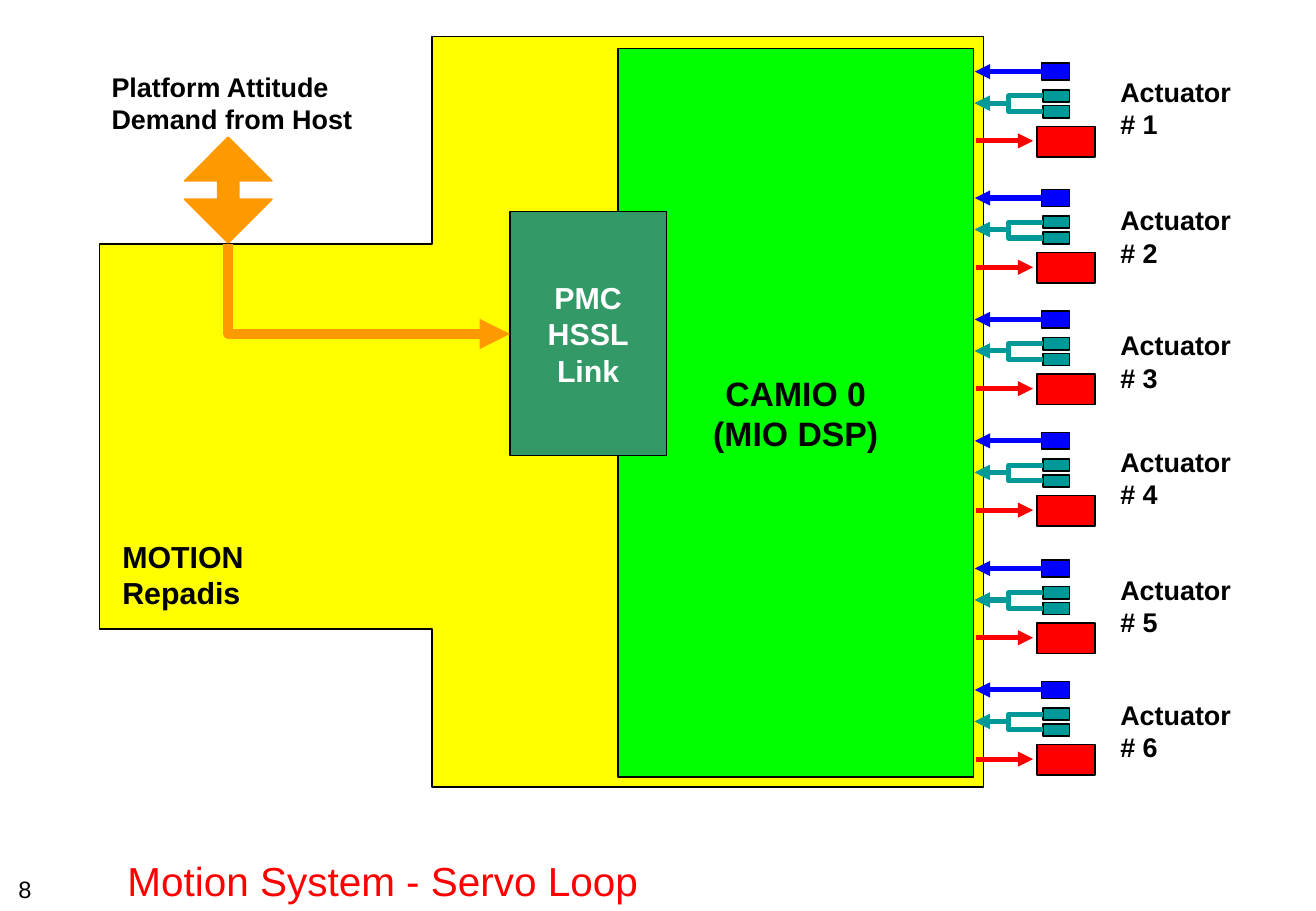
"""Build the motion system servo loop slide."""
from lxml import etree
from pptx import Presentation, util as u
from pptx.dml.color import RGBColor
from pptx.enum import shapes, text
from pptx.oxml.ns import qn

PX = 9144
COLOURS = {
    "black": "000000", "white": "FFFFFF", "yellow": "FFFF00", "green": "00FF00",
    "sea": "339966", "blue": "0000FF", "teal": "009999", "red": "FF0000",
    "orange": "FF9900",
}
ACTUATOR_TOPS = [52, 156, 256, 356, 461, 561]
LABEL_TOPS = [57, 163, 266, 362, 467, 570]
BOARD_OUTLINE = [(82, 201), (82, 518), (356, 518), (356, 648),
                 (810, 648), (810, 30), (356, 30), (356, 201)]


def colour(name):
    """Return the named colour."""
    return RGBColor.from_string(COLOURS[name])


def emu(*lengths):
    """Turn px lengths into EMU."""
    return [u.Emu(length * PX) for length in lengths]


def apply_format(target, values):
    """Set every attribute given in a dict."""
    for name, value in values.items():
        setattr(target, name, value)


def write(shape, wording, size, ink="black", bold=True, align="LEFT", frame=None):
    """Write one paragraph per line of wording into a shape."""
    text_frame = shape.text_frame
    text_frame.text = wording
    apply_format(text_frame, frame or {})
    for paragraph in text_frame.paragraphs:
        apply_format(paragraph, {
            "alignment": getattr(text.PP_ALIGN, align),
            "line_spacing": u.Pt(size * 1.2),
        })
        apply_format(paragraph.font, {"name": "Arial", "size": u.Pt(size), "bold": bold})
        paragraph.font.color.rgb = colour(ink)


def add_label(slide, box, wording, size, **style):
    """Add a text box that fits its unwrapped text."""
    label = slide.shapes.add_textbox(*emu(*box))
    frame = {"word_wrap": False, "auto_size": text.MSO_AUTO_SIZE.SHAPE_TO_FIT_TEXT}
    write(label, wording, size, frame=frame, **style)


def add_block(slide, box, fill, line="black", kind="RECTANGLE"):
    """Add a filled preset shape, outlined unless line is None."""
    block = slide.shapes.add_shape(getattr(shapes.MSO_SHAPE, kind), *emu(*box))
    block.shadow.inherit = False
    block.fill.solid()
    block.fill.fore_color.rgb = colour(fill)
    if line:
        block.line.color.rgb = colour(line)
        block.line.width = u.Pt(1)
    else:
        block.line.fill.background()
    return block


def add_module(slide, box, fill, wording, size, ink="black"):
    """Add a block with centred bold text."""
    module = add_block(slide, box, fill)
    frame = {"word_wrap": False, "vertical_anchor": text.MSO_ANCHOR.MIDDLE}
    write(module, wording, size, ink, align="CENTER", frame=frame)


def add_arrow(slide, ends, ink, width=3, kind="STRAIGHT"):
    """Add a connector with an arrowhead at its end."""
    arrow = slide.shapes.add_connector(getattr(shapes.MSO_CONNECTOR, kind), *emu(*ends))
    arrow.line.color.rgb = colour(ink)
    arrow.line.width = u.Pt(width)
    etree.SubElement(arrow.line._get_or_add_ln(), qn("a:tailEnd"), type="triangle")
    etree.SubElement(arrow._element.spPr, qn("a:effectLst"))
    return arrow


def add_demand_path(slide):
    """Add the arrow that goes down from the host and right to the link."""
    path = add_arrow(slide, (341, 122, 267, 354), "orange", 6, "ELBOW")
    properties = path._element.spPr
    properties.find(qn("a:xfrm")).set("rot", str(270 * 60000))
    properties.find(qn("a:prstGeom")).set("prst", "bentConnector2")


def add_board(slide):
    """Add the yellow board and its stepped outline."""
    for box in [(356, 30, 454, 618), (82, 200, 637, 317)]:
        add_block(slide, box, "yellow", line=None)
    builder = slide.shapes.build_freeform(*BOARD_OUTLINE[0], scale=PX)
    builder.add_line_segments(BOARD_OUTLINE[1:], close=True)
    outline = builder.convert_to_shape()
    outline.shadow.inherit = False
    outline.fill.background()
    outline.line.color.rgb = colour("black")
    outline.line.width = u.Pt(1)


def add_actuator(slide, top):
    """Add the blocks and arrows of one actuator."""
    add_block(slide, (854, top + 52, 48, 25), "red")
    add_block(slide, (858, top, 23, 14), "blue")
    add_arrow(slide, (858, top + 7, 803, top + 7), "blue")
    for offset in (22, 35):
        add_block(slide, (859, top + offset, 22, 10), "teal")
        add_arrow(slide, (859, top + offset + 5, 803, top + 33), "teal", kind="ELBOW")
    add_arrow(slide, (804, top + 64, 851, top + 64), "red")


def add_title(slide):
    """Place and format the title."""
    title = slide.shapes.title
    box = dict(zip(("left", "top", "width", "height"), emu(95, 699, 988, 51)))
    apply_format(title, box)
    frame = {"word_wrap": True, "auto_size": text.MSO_AUTO_SIZE.NONE,
             "vertical_anchor": text.MSO_ANCHOR.BOTTOM}
    write(title, "Motion System - Servo Loop", 24, "red", bold=False, frame=frame)


def main():
    """Build and save the slide."""
    presentation = Presentation()
    presentation.slide_width, presentation.slide_height = emu(1084, 750)
    slide = presentation.slides.add_slide(presentation.slide_layouts[5])
    add_title(slide)
    add_label(slide, (0, 715, 41, 34), "8", 14, bold=False, align="CENTER")
    add_board(slide)
    add_label(slide, (91, 438, 120, 70), "MOTION\nRepadis", 18)
    add_module(slide, (509, 40, 293, 600), "green", "CAMIO 0\n(MIO DSP)", 20)
    add_module(slide, (420, 174, 129, 201), "sea", "PMC\nHSSL\nLink", 18, "white")
    for top in ACTUATOR_TOPS:
        add_actuator(slide, top)
    for number, top in enumerate(LABEL_TOPS, 1):
        add_label(slide, (913, top, 111, 64), f"Actuator\n# {number}", 16)
    host_arrow = add_block(slide, (152, 113, 72, 87), "orange", "orange", "UP_DOWN_ARROW")
    host_arrow.adjustments[0] = 0.5
    host_arrow.adjustments[1] = 0.24
    add_label(slide, (82, 53, 218, 64), "Platform Attitude\nDemand from Host", 16)
    add_demand_path(slide)
    presentation.save("out.pptx")


if __name__ == "__main__":
    main()
